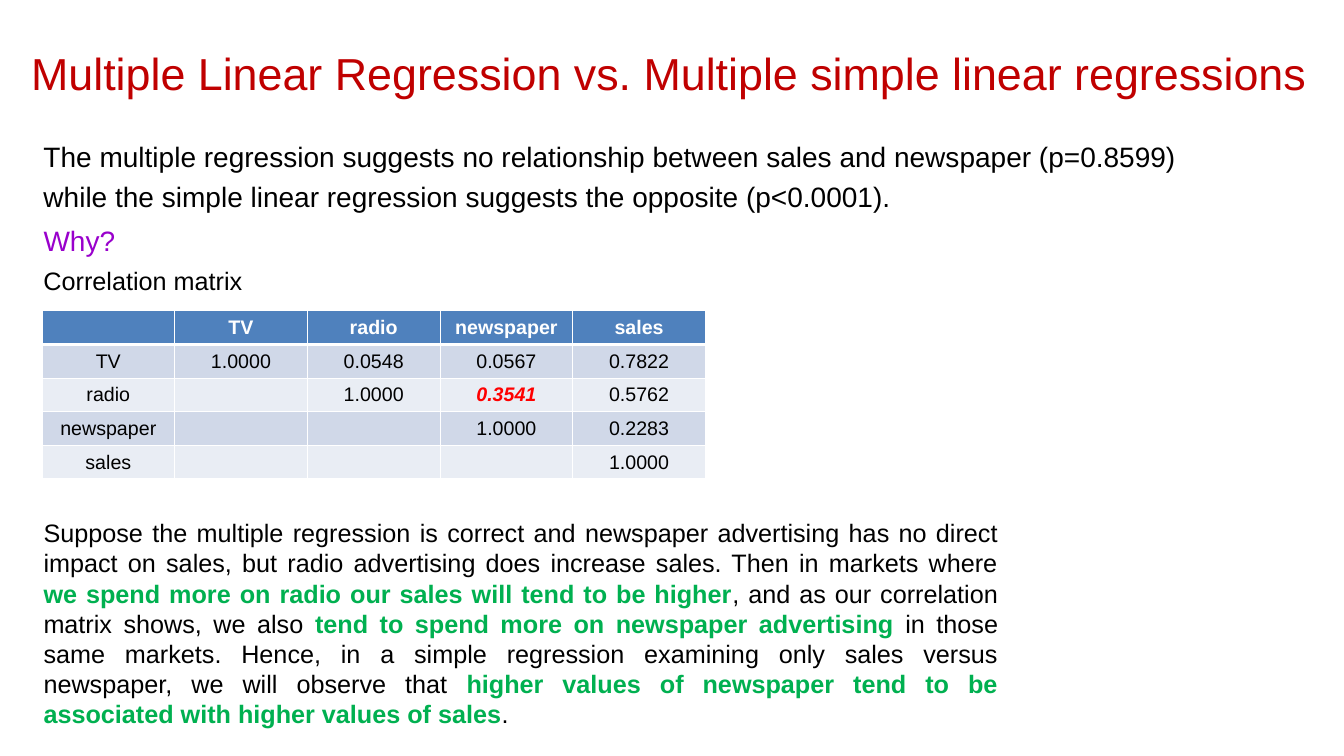
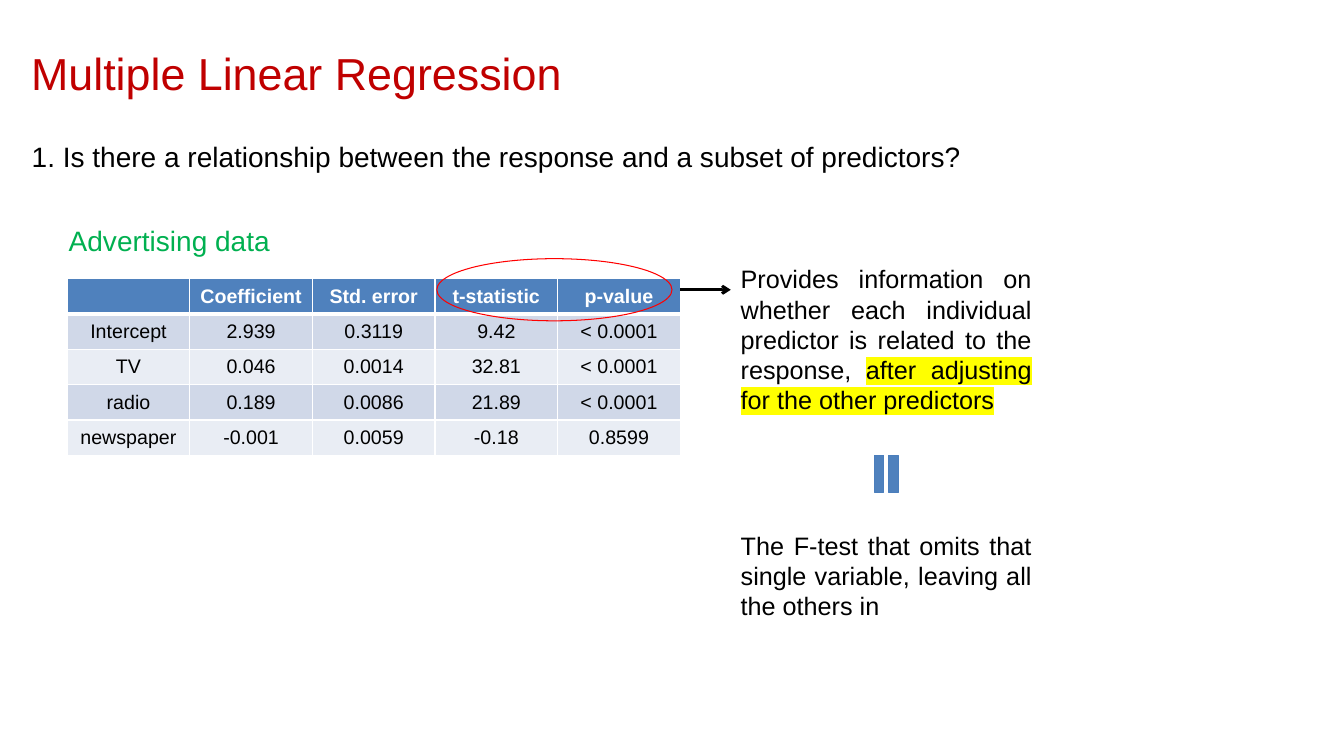
from dataclasses import dataclass

from lxml import etree
from pptx import Presentation
from pptx.dml.color import RGBColor
from pptx.enum.shapes import MSO_CONNECTOR, MSO_SHAPE
from pptx.enum.text import MSO_ANCHOR, MSO_AUTO_SIZE, PP_ALIGN
from pptx.oxml.ns import qn
from pptx.util import Inches, Pt

LEFT, CENTER, JUSTIFY = PP_ALIGN.LEFT, PP_ALIGN.CENTER, PP_ALIGN.JUSTIFY
TOP, MIDDLE = MSO_ANCHOR.TOP, MSO_ANCHOR.MIDDLE
NO_AUTOFIT = MSO_AUTO_SIZE.NONE
OVAL, EQUALS = MSO_SHAPE.OVAL, MSO_SHAPE.MATH_EQUAL
STRAIGHT = MSO_CONNECTOR.STRAIGHT

COLORS = {
    "title": "C00000", "text": "000000", "white": "FFFFFF",
    "question": "9900CC", "accent": "00B050", "alert": "FF0000",
    "marker": "FFFF00", "header": "4F81BD", "equals_edge": "4B7EBC",
    "band_dark": "D0D8E8", "band_light": "E9EDF4",
}
FONT = "Arial"
GRID_COLUMNS, GRID_ROWS = 160, 90
SLIDE_WIDTH, SLIDE_HEIGHT = Inches(13.33), Inches(7.5)
TITLE_ONLY = 5


@dataclass
class Box:
    """An area measured in grid columns and rows."""
    x: float
    y: float
    w: float
    h: float

    def area(self, x, y, w, h):
        """Return an area offset from this one's top left corner."""
        return Box(self.x + x, self.y + y, w, h)

    def emu(self):
        """Return left, top, width and height as slide lengths."""
        column, row = SLIDE_WIDTH / GRID_COLUMNS, SLIDE_HEIGHT / GRID_ROWS
        return (round(self.x * column), round(self.y * row),
                round(self.w * column), round(self.h * row))


def rgb(name):
    """Look up a palette colour."""
    return RGBColor.from_string(COLORS[name])


def add_color(parent, name):
    """Append a colour element to an XML parent."""
    etree.SubElement(parent, qn("a:srgbClr"), val=COLORS[name])


def style_run(run, size=18, color="text", bold=False, italic=False, marker=None):
    """Format one run, with an optional marker colour behind it."""
    font = run.font
    font.name, font.size, font.bold, font.italic = FONT, Pt(size), bold, italic
    font.color.rgb = rgb(color)
    if marker:
        highlight = etree.Element(qn("a:highlight"))
        add_color(highlight, marker)
        run._r.get_or_add_rPr().find(qn("a:solidFill")).addnext(highlight)


def write(frame, *paragraphs, align=LEFT, anchor=TOP, gap=0, **style):
    """Write paragraphs made of a string or of (text, style) pieces."""
    frame.word_wrap, frame.vertical_anchor = True, anchor
    for index, pieces in enumerate(paragraphs):
        paragraph = frame.add_paragraph() if index else frame.paragraphs[0]
        paragraph.alignment = align
        if index:
            paragraph.space_before = Pt(gap)
        for text, changes in [(pieces, {})] if isinstance(pieces, str) else pieces:
            run = paragraph.add_run()
            run.text = text
            style_run(run, **{**style, **changes})


def add_text(slide, box, *paragraphs, fill=None, **style):
    """Place a text box and write in it."""
    holder = slide.shapes.add_textbox(*box.emu())
    if fill:
        holder.fill.solid()
        holder.fill.fore_color.rgb = rgb(fill)
    write(holder.text_frame, *paragraphs, **style)


def add_titled_slide(deck, title):
    """Add a slide with the shared title style."""
    slide = deck.slides.add_slide(deck.slide_layouts[TITLE_ONLY])
    heading = slide.shapes.title
    heading.left, heading.top, heading.width, heading.height = Box(2.5, 4.9, 157.5, 8.9).emu()
    heading.text_frame.auto_size = NO_AUTOFIT
    write(heading.text_frame, title, size=32, color="title")
    return slide


def set_borders(cell, top, bottom):
    """Give a cell white borders, with its own top and bottom widths."""
    properties = cell._tc.get_or_add_tcPr()
    for side, width in (("L", 1), ("R", 1), ("T", top), ("B", bottom)):
        line = etree.SubElement(properties, qn(f"a:ln{side}"), w=str(int(Pt(width))))
        add_color(etree.SubElement(line, qn("a:solidFill")), "white")


def add_data_table(slide, box, records, emphasis=None):
    """Draw a banded table with a header row and one optional emphasised value."""
    grid = slide.shapes.add_table(len(records), len(records[0]), *box.emu()).table
    for r, record in enumerate(records):
        band = "header" if r == 0 else "band_dark" if r % 2 else "band_light"
        for c, value in enumerate(record):
            cell = grid.cell(r, c)
            cell.margin_left = cell.margin_right = Inches(0.05)
            set_borders(cell, 3 if r == 1 else 1, 3 if r == 0 else 1)
            cell.fill.solid()
            cell.fill.fore_color.rgb = rgb(band)
            cell.vertical_anchor = MIDDLE
            if not value:
                etree.SubElement(cell.text_frame.paragraphs[0]._p,
                                 qn("a:endParaRPr"), sz="1400")
                continue
            style = {"color": "white", "bold": True} if r == 0 else {}
            if value == emphasis:
                style = {"color": "alert", "bold": True, "italic": True}
            write(cell.text_frame, value, align=CENTER, anchor=MIDDLE, size=14, **style)


def add_arrow(slide, box):
    """Draw a black arrow along the top edge of a box."""
    left, top, width, _ = box.emu()
    arrow = slide.shapes.add_connector(STRAIGHT, left, top, left + width, top)
    arrow.line.color.rgb, arrow.line.width = rgb("text"), Pt(2)
    properties = arrow._element.spPr
    etree.SubElement(properties.find(qn("a:ln")), qn("a:tailEnd"), type="arrow")
    etree.SubElement(properties, qn("a:effectLst"))


def add_outlined(slide, kind, box, edge, fill=None):
    """Draw a thinly outlined shape, filled or hollow."""
    figure = slide.shapes.add_shape(kind, *box.emu())
    figure.shadow.inherit = False
    figure.line.color.rgb, figure.line.width = rgb(edge), Pt(0.75)
    if fill:
        figure.fill.solid()
        figure.fill.fore_color.rgb = rgb(fill)
    else:
        figure.fill.background()
    return figure


def place_correlation(slide, box):
    """Place the question, caption and correlation matrix."""
    add_text(slide, box.area(0, 0, 74, 5), "Why?", size=20, color="question")
    add_text(slide, box.area(0, 5, 30, 5), "Correlation matrix")
    add_data_table(slide, box.area(1, 11, box.w - 1, 20), [
        ("", "TV", "radio", "newspaper", "sales"),
        ("TV", "1.0000", "0.0548", "0.0567", "0.7822"),
        ("radio", "", "1.0000", "0.3541", "0.5762"),
        ("newspaper", "", "", "1.0000", "0.2283"),
        ("sales", "", "", "", "1.0000"),
    ], emphasis="0.3541")


def place_coefficients(slide, box):
    """Place the caption, coefficient table and ring around its test columns."""
    add_text(slide, box.area(-1, 0, 117, 5.3), "Advertising data", size=20, color="accent")
    table_box = box.area(0, 7.2, box.w, 21)
    add_data_table(slide, table_box, [
        ("", "Coefficient", "Std. error", "t-statistic", "p-value"),
        ("Intercept", "2.939", "0.3119", "9.42", "< 0.0001"),
        ("TV", "0.046", "0.0014", "32.81", "< 0.0001"),
        ("radio", "0.189", "0.0086", "21.89", "< 0.0001"),
        ("newspaper", "-0.001", "0.0059", "-0.18", "0.8599"),
    ])
    add_outlined(slide, OVAL, table_box.area(44, -2.4, 28, 7.4), "alert")
    add_arrow(slide, table_box.area(box.w, 1.3, 6, 0))


def place_interpretation(slide, box):
    """Place the two equivalent readings joined by an equals sign."""
    add_text(slide, box.area(0, 0, box.w, 19.4), [
        ("Provides information on whether each individual predictor is related"
         " to the response, ", {}),
        ("after adjusting for the other predictors", {"marker": "marker"}),
    ], align=JUSTIFY)
    equals = add_outlined(slide, EQUALS, box.area(15.5, 23.2, 6, 4.8),
                          "equals_edge", "header")
    equals.rotation = 90
    add_text(slide, box.area(0, 31.7, box.w, 12.1),
             "The F-test that omits that single variable, leaving all the others in",
             align=JUSTIFY)


def build_comparison(deck):
    """Build the slide on multiple against simple regressions."""
    slide = add_titled_slide(
        deck, "Multiple Linear Regression vs. Multiple simple linear regressions")
    add_text(slide, Box(4, 16, 144, 9.8),
             "The multiple regression suggests no relationship between sales"
             " and newspaper (p=0.8599)",
             "while the simple linear regression suggests the opposite (p<0.0001).",
             size=20, gap=5)
    place_correlation(slide, Box(4, 26, 80, 31))
    strong = {"color": "accent", "bold": True}
    add_text(slide, Box(4, 61, 116, 26.6), [
        ("Suppose the multiple regression is correct and newspaper advertising has no"
         " direct impact on sales, but radio advertising does increase sales. Then in"
         " markets where ", {}),
        ("we spend more on radio our sales will tend to be higher", strong),
        (", and as our correlation matrix shows, we also ", {}),
        ("tend to spend more on newspaper advertising", strong),
        (" in those same markets. Hence, in a simple regression examining only sales"
         " versus newspaper, we will observe that ", {}),
        ("higher values of newspaper tend to be associated with higher values of sales",
         strong),
        (".", {}),
    ], align=JUSTIFY, fill="white")


def build_subset_test(deck):
    """Build the slide on testing individual predictors."""
    slide = add_titled_slide(deck, "Multiple Linear Regression")
    add_text(slide, Box(2.6, 16, 115, 5.3),
             "1. Is there a relationship between the response and a subset of predictors?",
             size=20)
    place_coefficients(slide, Box(8, 26, 73, 28))
    place_interpretation(slide, Box(87, 30.8, 37, 44))


def main():
    """Build and save the deck."""
    deck = Presentation()
    deck.slide_width, deck.slide_height = SLIDE_WIDTH, SLIDE_HEIGHT
    build_comparison(deck)
    build_subset_test(deck)
    deck.save("out.pptx")


if __name__ == "__main__":
    main()
